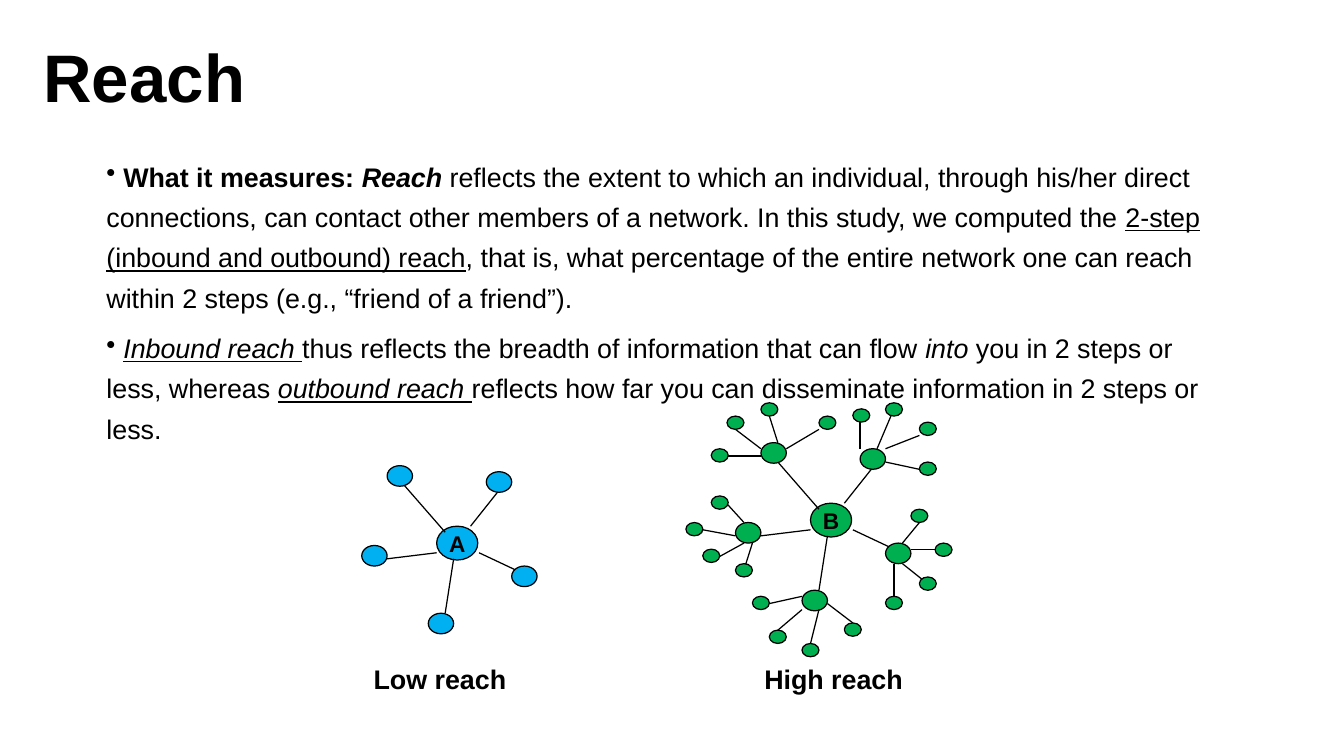
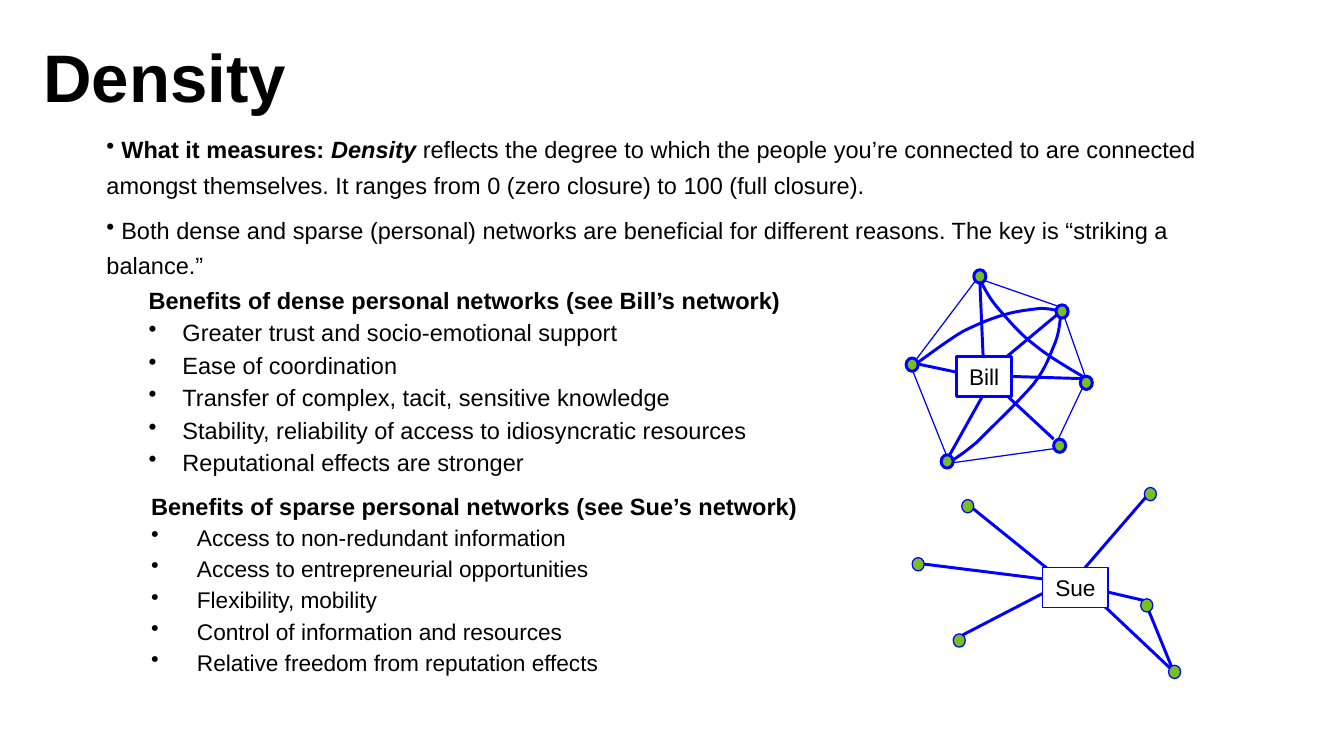
from typing import Any, NamedTuple

from lxml import etree
from pptx import Presentation
from pptx import util as u
from pptx.dml.color import RGBColor
from pptx.enum import shapes, text
from pptx.oxml.ns import qn

PX = 9144  # EMU per px, 100 px to the inch
FONT = "Arial"
BLACK, WHITE = "000000", "FFFFFF"
GREEN, SKY = "00B050", "00B0F0"
BLUE, LIME = "0000FF", "78BE20"
THIN, THICK = 0.75, 1.75
HUB, FRIEND, LEAF, DOT = (34, 28), (21, 17), (14, 11), (10, 11)
OVAL, RECT = shapes.MSO_SHAPE.OVAL, shapes.MSO_SHAPE.RECTANGLE

Point = tuple[float, float]


class Span(NamedTuple):
    text: str
    bold: bool = False
    italic: bool = False
    underline: bool = False


class Line(NamedTuple):
    x1: int
    y1: int
    x2: int
    y2: int


class Contact(NamedTuple):
    """A friend's friend: its link and its top left corner."""
    link: Line
    left: int
    top: int


class Benefits(NamedTuple):
    left: int
    top: int
    height: int
    heading: str
    items: list[str]
    size: float
    hang: int


class Network(NamedTuple):
    """A person's box, ties and contacts, drawn with one dot outline width."""
    name: str
    box: tuple[int, int, int, int]
    box_line: float
    dot_line: float
    ties: list[Line]
    dots: list[tuple[int, int]]


# Reach: the star is measured from the hub's corner
SPOKES = [Line(7, 5, -27, -34), Line(28, 0, 55, -34), Line(35, 22, 69, 38),
          Line(14, 27, 7, 72), Line(0, 22, -41, 27)]
FRIENDS = [(62, 33), (-7, 72), (-62, 16), (-41, -50), (41, -45)]
CONTACTS = [
    Contact(Line(711, 371, 711, 344), 705, 338),
    Contact(Line(725, 371, 739, 338), 732, 333),
    Contact(Line(732, 371, 760, 360), 760, 349),
    Contact(Line(732, 382, 760, 388), 760, 382),
    Contact(Line(739, 466, 739, 493), 732, 493),
    Contact(Line(746, 466, 766, 482), 760, 477),
    Contact(Line(753, 454, 773, 454), 773, 449),
    Contact(Line(746, 449, 760, 432), 753, 421),
    Contact(Line(663, 504, 643, 521), 636, 521),
    Contact(Line(677, 504, 670, 532), 663, 532),
    Contact(Line(684, 499, 705, 515), 698, 515),
    Contact(Line(636, 499, 663, 493), 622, 493),
    Contact(Line(615, 432, 595, 410), 588, 410),
    Contact(Line(608, 443, 581, 438), 567, 432),
    Contact(Line(615, 449, 595, 460), 581, 454),
    Contact(Line(622, 449, 615, 471), 608, 466),
    Contact(Line(629, 377, 595, 377), 588, 371),
    Contact(Line(629, 371, 608, 355), 601, 344),
    Contact(Line(643, 366, 636, 344), 629, 333),
    Contact(Line(650, 371, 677, 355), 677, 344),
]
REACH = [
    [Span(" "), Span("What it measures: ", bold=True),
     Span("Reach ", bold=True, italic=True),
     Span("reflects the extent to which an individual, through his/her direct "
          "connections, can contact other members of a network. In this study, "
          "we computed the "),
     Span("2-step (inbound and outbound) reach", underline=True),
     Span(", that is, what percentage of the entire network one can reach "
          "within 2 steps (e.g., “friend of a friend”).")],
    [Span(" "), Span("Inbound reach ", italic=True, underline=True),
     Span("thus reflects the breadth of information that can flow "),
     Span("into ", italic=True), Span("you in 2 steps or less, whereas "),
     Span("outbound reach ", italic=True, underline=True),
     Span("reflects how far you can disseminate information in 2 steps or less.")],
]

# Density: wording and the two personal networks
DENSITY = [
    [Span(" What it measures: ", bold=True),
     Span("Density", bold=True, italic=True),
     Span(" reflects the degree to which the people you’re connected to are "
          "connected amongst themselves. It ranges from 0 (zero closure) to "
          "100 (full closure).")],
    [Span(" Both dense and sparse (personal) networks are beneficial for "
          "different reasons. The key is “striking a balance.”")],
]
BENEFITS = [
    Benefits(113, 228, 166,
             "Benefits of dense personal networks (see Bill’s network)",
             ["Greater trust and socio-emotional support",
              "Ease of coordination",
              "Transfer of complex, tacit, sensitive knowledge",
              "Stability, reliability of access to idiosyncratic resources",
              "Reputational effects are stronger"], 14, 28),
    Benefits(115, 398, 161,
             "Benefits of sparse personal networks (see Sue’s network)",
             ["Access to non-redundant information",
              "Access to entrepreneurial opportunities",
              "Flexibility, mobility",
              "Control of information and resources",
              "Relative freedom from reputation effects"], 13.5, 38),
]
RING: list[Point] = [(871, 371), (785, 383), (753, 303), (808, 230),
                     (877, 254), (898, 314)]
# Each arc is a start point, then three points for every Bezier piece
ARCS: list[list[Point]] = [
    [(784, 383), (788, 380), (795, 376), (807, 366), (818, 355), (843, 331),
     (854, 318), (865, 304), (868, 293), (872, 284), (876, 274), (876, 265),
     (877, 261)],
    [(757, 301), (764, 296), (784, 281), (796, 274), (808, 268), (820, 263),
     (831, 260), (841, 257), (852, 256), (860, 255), (868, 255), (875, 257),
     (879, 258)],
    [(898, 313), (883, 304), (867, 295), (855, 285), (843, 276), (834, 265),
     (826, 256), (818, 247), (814, 239), (810, 231)],
]
BILL = Network(
    "Bill", (791, 295, 45, 33), THICK, THICK,
    [Line(784, 378, 813, 326), Line(871, 363, 829, 324),
     Line(894, 313, 829, 311), Line(874, 260, 826, 300),
     Line(810, 234, 813, 302), Line(759, 301, 797, 309)],
    [(873, 252), (871, 363), (778, 376), (749, 296), (893, 311), (805, 223)])
SUE = Network(
    "Sue", (862, 469, 54, 33), THIN, THIN,
    [Line(970, 555, 899, 488), Line(892, 475, 949, 409),
     Line(867, 471, 800, 417), Line(865, 479, 761, 466),
     Line(867, 488, 788, 529), Line(905, 487, 948, 497),
     Line(948, 501, 970, 555)],
    [(946, 403), (966, 550), (788, 524), (754, 461), (943, 495), (795, 413)])


# Helpers
def px(value: float) -> u.Emu:
    return u.Emu(round(value * PX))


def color(code: str) -> RGBColor:
    return RGBColor.from_string(code)


def add_span(para: Any, words: str, *, size: float, bold: bool = False,
             italic: bool = False, underline: bool = False) -> None:
    span = para.add_run()
    span.text = words
    font = span.font
    font.name, font.size, font.color.rgb = FONT, u.Pt(size), color(BLACK)
    font.bold, font.italic, font.underline = bold, italic, underline


def add_bullet(para: Any, hang: int = 0) -> None:
    props = para._p.get_or_add_pPr()
    props.set("marL", str(px(hang)))
    props.set("indent", str(px(-hang)))
    etree.SubElement(props, qn("a:buChar")).set("char", "•")


def clear_margins(frame: Any) -> None:
    frame.margin_left = frame.margin_right = 0
    frame.margin_top = frame.margin_bottom = 0


def add_frame(page: Any, left: int, top: int, width: int, height: int,
              wrap: bool = True) -> Any:
    box = page.shapes.add_textbox(px(left), px(top), px(width), px(height))
    box.text_frame.word_wrap = wrap
    return box.text_frame


def next_para(frame: Any, index: int, spacing: float) -> Any:
    para = frame.add_paragraph() if index else frame.paragraphs[0]
    para.line_spacing = spacing
    return para


def style_outline(shape: Any, line: str, weight: float) -> None:
    shape.line.color.rgb = color(line)
    shape.line.width = u.Pt(weight)


def add_node(group: Any, kind: Any, left: int, top: int, size: tuple[int, int],
             fill: str, line: str, weight: float, label: str = "",
             bold: bool = False) -> None:
    node = group.shapes.add_shape(kind, px(left), px(top), px(size[0]), px(size[1]))
    node.shadow.inherit = False
    node.fill.solid()
    node.fill.fore_color.rgb = color(fill)
    style_outline(node, line, weight)
    if label:
        frame = node.text_frame
        frame.word_wrap = False
        frame.vertical_anchor = text.MSO_ANCHOR.MIDDLE
        frame.paragraphs[0].alignment = text.PP_ALIGN.CENTER
        add_span(frame.paragraphs[0], label, size=13.5, bold=bold)


def add_line(group: Any, line: Line, code: str, weight: float,
             dx: int = 0, dy: int = 0) -> None:
    tie = group.shapes.add_connector(
        shapes.MSO_CONNECTOR.STRAIGHT, px(line.x1 + dx), px(line.y1 + dy),
        px(line.x2 + dx), px(line.y2 + dy))
    style_outline(tie, code, weight)
    etree.SubElement(tie._element.spPr, qn("a:effectLst"))


def add_outline(group: Any, points: list[Point], weight: float, close: bool) -> None:
    start, *rest = [(px(x), px(y)) for x, y in points]
    builder = group.shapes.build_freeform(*start, scale=1.0)
    builder.add_line_segments(rest, close=close)
    outline = builder.convert_to_shape()
    outline.shadow.inherit = False
    outline.fill.background()
    style_outline(outline, BLUE, weight)


def trace_arc(arc: list[Point], steps: int = 8) -> list[Point]:
    points = [arc[0]]
    for first in range(0, len(arc) - 1, 3):
        piece = arc[first:first + 4]
        for step in range(1, steps + 1):
            t = step / steps
            weights = ((1 - t) ** 3, 3 * t * (1 - t) ** 2, 3 * t * t * (1 - t), t ** 3)
            points.append((sum(w * p[0] for w, p in zip(weights, piece)),
                           sum(w * p[1] for w, p in zip(weights, piece))))
    return points


# Slide parts
def add_page(deck: Any, title: str) -> Any:
    page = deck.slides.add_slide(deck.slide_layouts[5])
    box = page.shapes.title
    box.left, box.top, box.width, box.height = px(36), px(29), px(1032), px(90)
    frame = box.text_frame
    clear_margins(frame)
    frame.auto_size = text.MSO_AUTO_SIZE.NONE
    frame.vertical_anchor = text.MSO_ANCHOR.TOP
    frame.paragraphs[0].alignment = text.PP_ALIGN.LEFT
    add_span(frame.paragraphs[0], title, size=40, bold=True)
    return page


def add_body(page: Any, top: int, height: int, paras: list[list[Span]],
             size: float) -> None:
    frame = add_frame(page, 88, top, 929, height)
    clear_margins(frame)
    for index, spans in enumerate(paras):
        para = next_para(frame, index, 1.25)
        if index:
            para.space_before = u.Pt(6)
        add_bullet(para)
        for span in spans:
            add_span(para, span.text, size=size, bold=span.bold,
                     italic=span.italic, underline=span.underline)


def add_benefits(page: Any, part: Benefits) -> None:
    frame = add_frame(page, part.left, part.top, 645, part.height)
    add_span(next_para(frame, 0, 1.15), part.heading, size=14, bold=True)
    for index, item in enumerate(part.items, 1):
        para = next_para(frame, index, 1.15)
        add_bullet(para, part.hang)
        add_span(para, item, size=part.size)


def add_star(group: Any, left: int, top: int, fill: str, name: str) -> None:
    add_node(group, OVAL, left, top, HUB, fill, BLACK, THIN, name, bold=True)
    for spoke in SPOKES:
        add_line(group, spoke, BLACK, THIN, left, top)
    for dx, dy in FRIENDS:
        add_node(group, OVAL, left + dx, top + dy, FRIEND, fill, BLACK, THIN)


def add_network(group: Any, network: Network) -> None:
    for tie in network.ties:
        add_line(group, tie, BLUE, THICK)
    for left, top in network.dots:
        add_node(group, OVAL, left, top, DOT, LIME, BLUE, network.dot_line)
    left, top, width, height = network.box
    add_node(group, RECT, left, top, (width, height), WHITE, BLUE,
             network.box_line, network.name)


def build_reach(deck: Any) -> None:
    page = add_page(deck, "Reach")
    add_body(page, 126, 241, REACH, 16)
    high = page.shapes.add_group_shape()
    add_star(high, 670, 416, GREEN, "B")
    for contact in CONTACTS:
        add_line(high, contact.link, BLACK, THIN)
    for contact in CONTACTS:
        add_node(high, OVAL, contact.left, contact.top, LEAF, GREEN, BLACK, THIN)
    add_star(page.shapes.add_group_shape(), 361, 435, SKY, "A")
    for left, width, caption in ((299, 131, "Low reach"), (622, 136, "High reach")):
        frame = add_frame(page, left, 543, width, 37, wrap=False)
        add_span(frame.paragraphs[0], caption, size=16, bold=True)


def build_density(deck: Any) -> None:
    page = add_page(deck, "Density")
    add_body(page, 106, 147, DENSITY, 14)
    dense = page.shapes.add_group_shape()
    add_outline(dense, RING, THIN, close=True)
    for arc in ARCS:
        add_outline(dense, trace_arc(arc), THICK, close=False)
    add_network(dense, BILL)
    add_network(page.shapes.add_group_shape(), SUE)
    for part in BENEFITS:
        add_benefits(page, part)


def main() -> None:
    deck = Presentation()
    deck.slide_width, deck.slide_height = px(1111), px(625)
    build_reach(deck)
    build_density(deck)
    deck.save("out.pptx")


if __name__ == "__main__":
    main()
